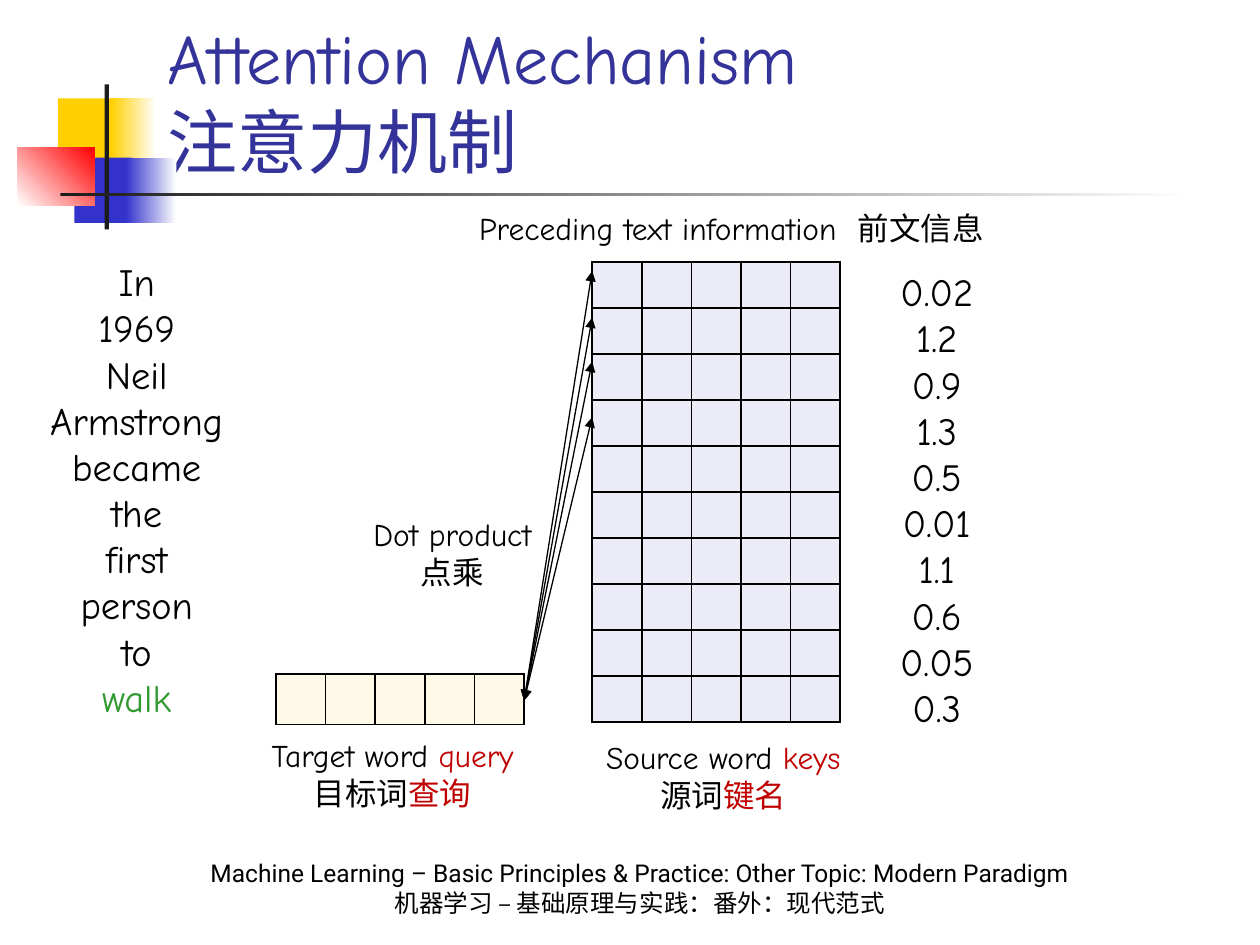
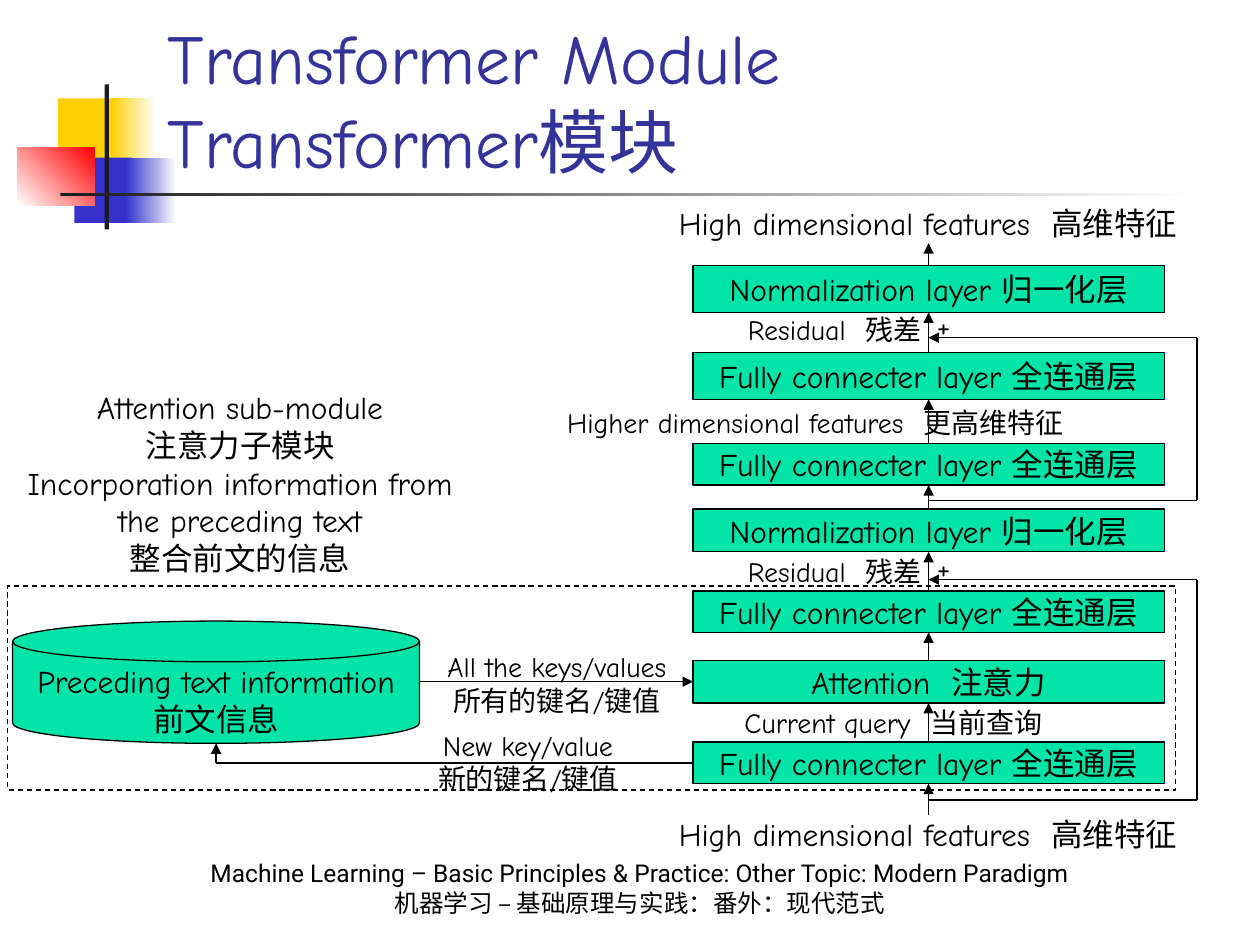
from collections import namedtuple
from itertools import pairwise

from lxml import etree
from pptx import Presentation
from pptx import util as u
from pptx.dml import color as dml
from pptx.enum import dml as dash
from pptx.enum import shapes, text
from pptx.oxml import ns

COLS, ROWS = 100, 75
WIDE, HIGH = u.Inches(10), u.Inches(7.5)
FONT, FOOT = "Comic Neue", "Roboto"
HUES = {
    "ink": "000000", "title": "333399", "red": "C00000", "green": "339933",
    "gold": "FFCF01", "blue": "3333CC", "hot": "FF0000", "bar": "1C1C1C",
    "white": "FFFFFF", "mint": "00E4A8", "cream": "FFE990", "lilac": "A3A3E0",
}
MID = text.PP_ALIGN.CENTER
Box = namedtuple("Box", "x y w h")


def hue(name):
    return dml.RGBColor.from_string(HUES[name])


def spot(box, x, y):
    return int((box.x + x) * WIDE / COLS), int((box.y + y) * HIGH / ROWS)


def place(box, x, y, w, h):
    return *spot(box, x, y), int(w * WIDE / COLS), int(h * HIGH / ROWS)


def add_run(para, words, size, tint, font):
    run = para.add_run()
    run.text = words
    run.font.size = u.Pt(size)
    run.font.name = font
    run.font.color.rgb = hue(tint)
    return run


def write(frame, lines, size, font=FONT):
    for i, line in enumerate(lines):
        para = frame.add_paragraph() if i else frame.paragraphs[0]
        para.alignment = MID
        for words, tint in [(line, "ink")] if isinstance(line, str) else line:
            head, gap, tail = words.partition("|")
            add_run(para, head, size, tint, font)
            if gap:
                space = add_run(para, " ", size, tint, font)
                space.font._element.set("spc", "600")
                add_run(para, tail, size, tint, font)


def pad(frame, inset):
    frame.margin_left = frame.margin_right = inset
    frame.margin_top = frame.margin_bottom = inset


def label(slide, box, area, lines, size=18, font=FONT, flush=False):
    frame = slide.shapes.add_textbox(*place(box, *area)).text_frame
    frame.word_wrap = True
    if flush:
        pad(frame, 0)
    write(frame, lines, size, font)
    return frame


def form(slide, box, area, fill=None, edge=None, kind="RECTANGLE"):
    shape = slide.shapes.add_shape(
        getattr(shapes.MSO_SHAPE, kind), *place(box, *area))
    shape.shadow.inherit = False
    if fill:
        shape.fill.solid()
        shape.fill.fore_color.rgb = hue(fill)
    else:
        shape.fill.background()
    if edge:
        shape.line.color.rgb = hue(edge)
        shape.line.width = u.Pt(0.75)
    else:
        shape.line.fill.background()
    return shape


def fade(slide, box, area, start, stop, angle=0):
    fill = form(slide, box, area).fill
    fill.gradient()
    fill.gradient_angle = angle
    for mark, name in zip(fill.gradient_stops, (start, stop)):
        mark.color.rgb = hue(name)


def wire(slide, box, start, end, tips=("tailEnd",)):
    link = slide.shapes.add_connector(
        shapes.MSO_CONNECTOR.STRAIGHT, *spot(box, *start), *spot(box, *end))
    link.line.color.rgb = hue("ink")
    link.line.width = u.Pt(0.75)
    props = link.element.spPr
    line = props.find(ns.qn("a:ln"))
    for tip in tips:
        etree.SubElement(line, ns.qn(f"a:{tip}"), type="triangle")
    etree.SubElement(props, ns.qn("a:effectLst"))
    return link


def frame_cell(cell, tint):
    pad(cell, 0)
    props = cell._tc.get_or_add_tcPr()
    for side in "LRTB":
        line = etree.SubElement(props, ns.qn(f"a:ln{side}"), w=str(u.Pt(1)))
        fill = etree.SubElement(line, ns.qn("a:solidFill"))
        etree.SubElement(fill, ns.qn("a:srgbClr"), val=HUES["ink"])
    cell.fill.solid()
    cell.fill.fore_color.rgb = hue(tint)
    shade = props.find(ns.qn("a:solidFill"))[0]
    etree.SubElement(shade, ns.qn("a:alpha"), val="20000")


def matrix(slide, box, rows, cols, tint):
    grid = slide.shapes.add_table(
        rows, cols, *place(box, 0, 0, box.w, box.h)).table
    grid.first_row = grid.horz_banding = False
    for row in grid.rows:
        row.height = int(box.h * HIGH / ROWS / rows)
    for cell in grid.iter_cells():
        frame_cell(cell, tint)


def emblem(slide, box):
    form(slide, box, (3.2, 1.1, 4.8, 5.2), "gold")
    fade(slide, box, (7.4, 1.1, 3.6, 5.2), "gold", "white")
    form(slide, box, (4.5, 5.8, 4.6, 5.2), "blue")
    fade(slide, box, (8.6, 5.8, 4, 5.2), "blue", "white")
    fade(slide, box, (0, 5, 6.1, 4.6), "white", "hot", 45)
    form(slide, box, (6.9, 0, 0.35, 11.5), "bar")
    fade(slide, box, (3.4, 8.6, 90, 0.3), "bar", "white")


def heading(slide, box, lines):
    title = slide.shapes.title
    title.left, title.top, title.width, title.height = place(
        box, 0, 0, box.w, box.h)
    frame = title.text_frame
    frame.auto_size = text.MSO_AUTO_SIZE.NONE
    frame.word_wrap = True
    frame.vertical_anchor = text.MSO_ANCHOR.BOTTOM
    para = frame.paragraphs[0]
    para.alignment = text.PP_ALIGN.LEFT
    for i, line in enumerate(lines):
        if i:
            para.add_line_break()
        add_run(para, line, 40, "title", FONT)


def footer(slide, box):
    frame = label(slide, box, (0, 0, box.w, box.h), [
        "Machine Learning – Basic Principles & Practice: Other Topic: Modern Paradigm",
        "机器学习 – 基础原理与实践：番外：现代范式"], 14, FOOT)
    frame.vertical_anchor = text.MSO_ANCHOR.BOTTOM


def new_slide(deck, lines):
    slide = deck.slides.add_slide(deck.slide_layouts[5])
    emblem(slide, Box(1.4, 6.7, 93.4, 11.5))
    heading(slide, Box(12.3, 5, 83.6, 10), lines)
    footer(slide, Box(8.3, 68.3, 85, 5))
    return slide


def column(slide, box, lines):
    label(slide, box, (0, 0, box.w, box.h), lines, 22)


def query(slide, box):
    matrix(slide, box, 1, 5, "cream")
    label(slide, box, (-2.7, 4.4, 23.9, 7.1), [
        [("Target word ", "ink"), ("query", "red")],
        [("目标词", "ink"), ("查询", "red")]])


def keys(slide, box):
    matrix(slide, box, 10, 5, "lilac")
    label(slide, box, (-17.8, -4.7, 57.7, 4),
          ["Preceding text information|前文信息"])
    label(slide, box, (-2.2, 37.3, 25.2, 7.1), [
        [("Source word ", "ink"), ("keys", "red")],
        [("源词", "ink"), ("键名", "red")]])


def dots(slide, box):
    for y in (0, 3.7, 7.2, 11.6):
        wire(slide, box, (0, box.h), (box.w, y), ("headEnd", "tailEnd"))
    label(slide, box, (-18.3, 18.9, 25.2, 7.1), ["Dot product", "点乘"])


def attend(deck):
    slide = new_slide(deck, ["Attention Mechanism", "注意力机制"])
    words = "In 1969 Neil Armstrong became the first person to".split()
    column(slide, Box(1.7, 20, 18.3, 38), words + [[("walk", "green")]])
    query(slide, Box(21.9, 53.5, 19.7, 4))
    keys(slide, Box(47, 20.8, 19.7, 36.5))
    dots(slide, Box(41.6, 21.5, 5.4, 34.1))
    column(slide, Box(65.2, 20.8, 18.3, 38),
           "0.02 1.2 0.9 1.3 0.5 0.01 1.1 0.6 0.05 0.3".split())


def block(slide, box, y, h, words):
    shape = form(slide, box, (0, y, box.w, h), "mint", "ink")
    frame = shape.text_frame
    pad(frame, 0)
    frame.word_wrap = False
    frame.vertical_anchor = text.MSO_ANCHOR.MIDDLE
    write(frame, [words], 18)
    return shape


def skip(slide, box, low, high):
    mid, edge = box.w / 2, box.w + 2.6
    wire(slide, box, (mid, low), (edge, low), ())
    wire(slide, box, (edge, low), (edge, high), ())
    wire(slide, box, (edge, high), (mid, high))
    label(slide, box, (mid - 0.6, high - 3, 3.6, 4), ["+"])
    label(slide, box, (mid - 15.6, high - 2.5, 16.3, 3.7), ["Residual|残差"], 16)


def tower(slide, box):
    full, norm = "Fully connecter layer 全连通层", "Normalization layer 归一化层"
    stack = [block(slide, box, *part) for part in (
        (37.8, 3.3, full), (31.3, 3.4, "Attention|注意力"), (25.8, 3.3, full),
        (19.3, 3.4, norm), (14.1, 3.3, full), (6.9, 3.7, full),
        (0, 3.7, norm))]
    mid = box.w / 2
    for low, high in pairwise(stack):
        link = wire(slide, box, (mid, 1), (mid, 0))
        link.begin_connect(low, 0)
        link.end_connect(high, 2)
    wire(slide, box, (mid, 43.6), (mid, 41.1)).end_connect(stack[0], 2)
    wire(slide, box, (mid, 0), (mid, -1.8)).begin_connect(stack[-1], 0)
    skip(slide, box, 42.4, 24.9)
    skip(slide, box, 18.6, 5.7)
    for y in (-4.9, 43.6):
        label(slide, box, (-4.2, y, 45.7, 3),
              ["High dimensional features|高维特征"], flush=True)
    label(slide, box, (-13.3, 10.6, 46, 3.7),
          ["Higher dimensional features|更高维特征"], 16)
    label(slide, box, (2.2, 34.4, 27.4, 3.7), ["Current query|当前查询"], 16)
    return stack


def memory(slide, box, stack):
    disk = form(slide, box, (0, 0, box.w, box.h), "mint", "ink",
                "FLOWCHART_MAGNETIC_DISK")
    frame = disk.text_frame
    pad(frame, 0)
    frame.vertical_anchor = text.MSO_ANCHOR.TOP
    write(frame, ["Preceding text information", "前文信息"], 18)
    turn = (box.w / 2, 11.25)
    wire(slide, box, turn, (box.w / 2, box.h))
    wire(slide, box, (54, 11.25), turn, ()).begin_connect(stack[0], 1)
    wire(slide, box, (box.w, 4.8), (54, 4.8)).end_connect(stack[1], 1)
    label(slide, box, (31.5, 1.8, 23.4, 6.4),
          ["All the keys/values", "所有的键名/键值"], 16)
    label(slide, box, (32, 8, 17.8, 6.4), ["New key/value", "新的键名/键值"], 16)


def module(slide, box):
    edge = form(slide, box, (0, 0, box.w, box.h), edge="ink")
    edge.line.dash_style = dash.MSO_LINE.DASH
    label(slide, box, (0.9, -15.7, 35.1, 15.1), [
        "Attention sub-module", "注意力子模块",
        "Incorporation information from the preceding text",
        "整合前文的信息"], flush=True)


def transform(deck):
    slide = new_slide(deck, ["Transformer Module", "Transformer模块"])
    stack = tower(slide, Box(55, 21.1, 37.4, 41.1))
    memory(slide, Box(1, 49.3, 32.3, 9.7), stack)
    module(slide, Box(0.6, 46.5, 92.7, 16.2))


def main():
    deck = Presentation()
    deck.slide_width, deck.slide_height = WIDE, HIGH
    attend(deck)
    transform(deck)
    deck.save("out.pptx")


if __name__ == "__main__":
    main()
